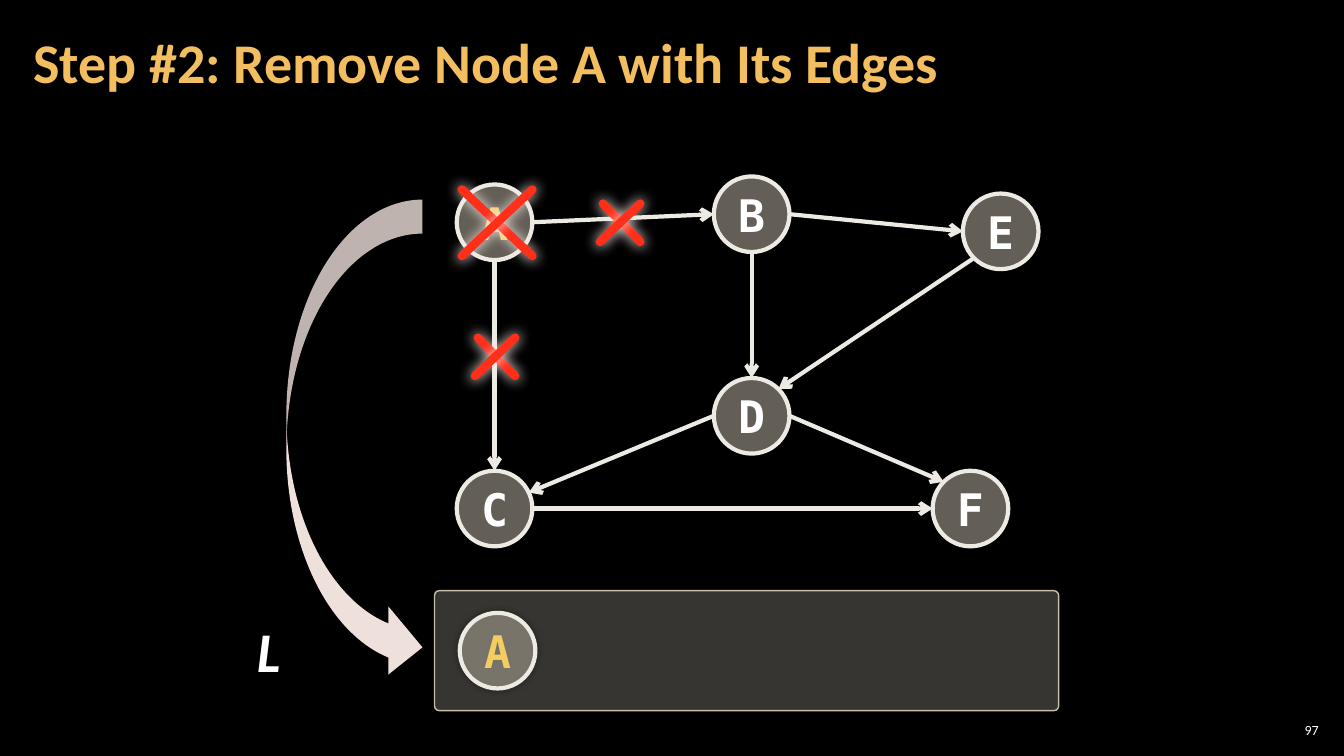
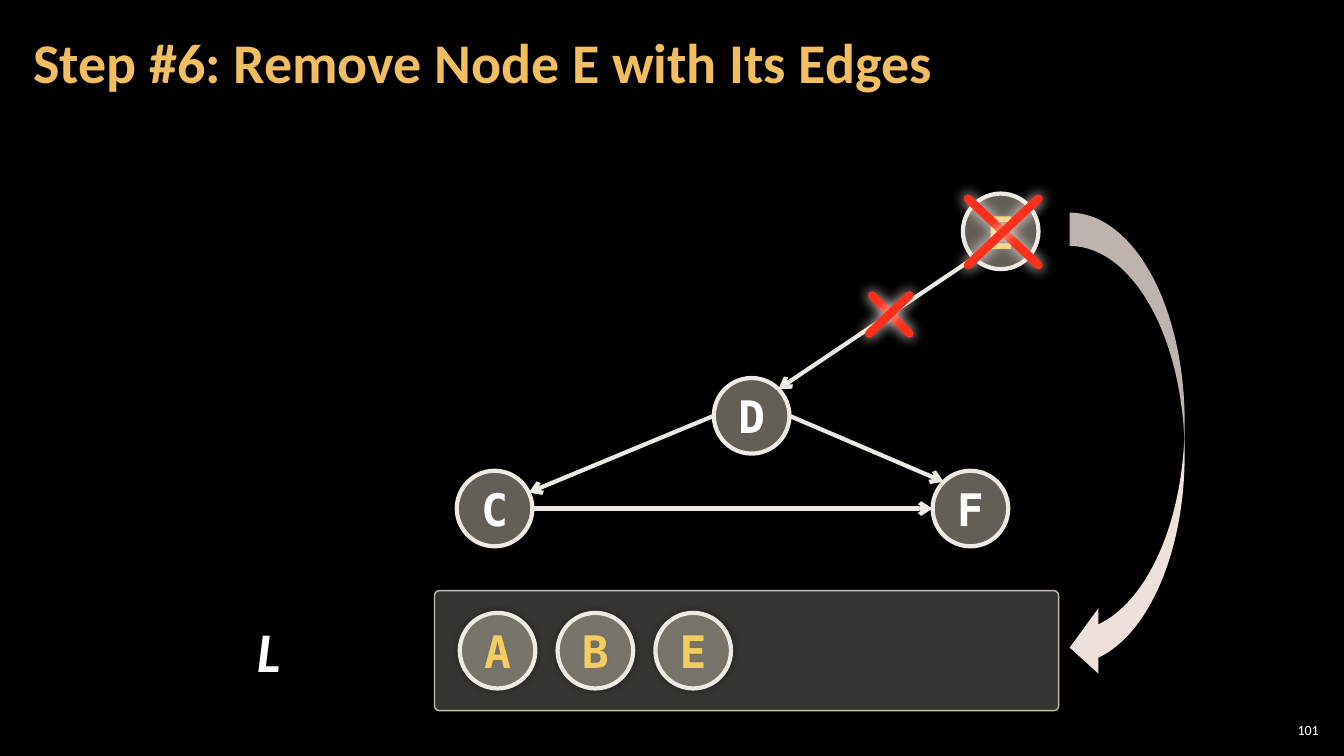
from dataclasses import dataclass
from math import cos, radians, sin

from lxml.etree import SubElement
from pptx import Presentation
from pptx.dml.color import RGBColor
from pptx.enum.shapes import MSO_CONNECTOR, MSO_SHAPE
from pptx.enum.text import MSO_ANCHOR, PP_ALIGN
from pptx.oxml.ns import qn
from pptx.util import Inches, Pt


@dataclass(frozen=True)
class Theme:
    """Colours, fonts and type sizes of the deck."""
    back: str = "000000"
    title: str = "F3BE60"
    text: str = "FFFFFF"
    mark: str = "F3CD60"
    node: str = "C7BFAC"
    edge: str = "ECEAE3"
    tray: str = "D9D5C7"
    cross: str = "FF2F19"
    glow: str = "FFEDEB"
    sweep: str = "EEE0DB"
    sans: str = "Calibri"
    mono: str = "DejaVu Sans Mono"
    head: int = 40
    letter: int = 32
    foot: int = 10


@dataclass(frozen=True)
class Box:
    """A region in inches."""
    left: float
    top: float
    width: float
    height: float

    def inner(self, left, top, width, height):
        """Return a region placed from this one's corner."""
        return Box(self.left + left, self.top + top, width, height)

    def inch(self):
        """Return the four lengths for python-pptx."""
        return [Inches(v) for v in (self.left, self.top, self.width, self.height)]

    def rim(self, angle):
        """Return the point on the inscribed ellipse, clockwise from the right."""
        turn = radians(angle)
        return (self.left + self.width / 2 * (1 + cos(turn)),
                self.top + self.height / 2 * (1 + sin(turn)))


T = Theme()
SIZE = 0.75
NODES = {"A": (0, 0.08), "C": (0, 2.92), "D": (2.55, 2), "B": (2.55, 0),
         "F": (4.72, 2.92), "E": (5.02, 0.17)}
EDGES = [("D", 0, "F", -135), ("A", 0, "B", 180), ("B", 90, "D", -90),
         ("A", 90, "C", -90), ("D", 180, "C", -25), ("C", 0, "F", 180),
         ("B", 0, "E", 180), ("E", 135, "D", -45)]
TITLE = Box(0.21, 0.04, 10.47, 1.21)
NUMBER = Box(12.65, 7.14, 0.47, 0.21)
GRAPH = Box(4.53, 1.75, 5.77, 3.67)
TRAY = Box(4.31, 5.86, 6.19, 1.19)
STEPS = [
    dict(title="Step #2: Remove Node A with Its Edges", number="97",
         live="ACDBFE", gone="A", cuts=[(1.62, 0.46), (0.38, 1.79)], done="A",
         kind=MSO_SHAPE.CURVED_RIGHT_ARROW, bow=Box(2.84, 1.98, 1.35, 4.78),
         bends=(0.25, 0.5, 0.25)),
    dict(title="Step #6: Remove Node E with Its Edges", number="101",
         live="CDFE", gone="E", cuts=[(4.29, 1.37)], done="ABE",
         kind=MSO_SHAPE.CURVED_LEFT_ARROW, bow=Box(10.61, 2.11, 1.14, 4.64),
         bends=(0.29, 0.57, 0.25)),
]


def write(shape, text, size, color, font=T.sans, bold=False,
          align=PP_ALIGN.CENTER, inset=None):
    """Set the text of a shape and return its paragraph."""
    frame = shape.text_frame
    frame.text = text
    frame.vertical_anchor = MSO_ANCHOR.MIDDLE
    if inset:
        frame.margin_left = frame.margin_right = Inches(inset)
        frame.margin_top = frame.margin_bottom = Inches(0.04)
    line = frame.paragraphs[0]
    line.alignment = align
    face = line.runs[0].font
    face.name, face.size, face.bold = font, Pt(size), bold
    face.color.rgb = RGBColor.from_string(color)
    return line


def label(slide, box, *args, **style):
    """Add a wrapped text box and return its paragraph."""
    shape = slide.shapes.add_textbox(*box.inch())
    shape.text_frame.word_wrap = True
    return write(shape, *args, **style)


def paint(slide, kind, box, fill, alpha=100, line=None, width=1):
    """Add a filled preset shape."""
    shape = slide.shapes.add_shape(kind, *box.inch())
    shape.shadow.inherit = False
    shape.fill.solid()
    shape.fill.fore_color.rgb = RGBColor.from_string(fill)
    if alpha < 100:
        color = shape._element.spPr.find(".//" + qn("a:srgbClr"))
        SubElement(color, qn("a:alpha"), val=str(alpha * 1000))
    if line:
        shape.line.color.rgb = RGBColor.from_string(line)
        shape.line.width = Pt(width)
    else:
        shape.line.fill.background()
    return shape


def shade(shape, color, alpha, blur):
    """Add an even shadow all around a shape."""
    effects = shape._element.spPr.find(qn("a:effectLst"))
    cast = SubElement(effects, qn("a:outerShdw"), blurRad=str(Pt(blur)),
                      dist="0", algn="ctr", rotWithShape="0")
    tint = SubElement(cast, qn("a:srgbClr"), val=color)
    SubElement(tint, qn("a:alpha"), val=str(alpha * 1000))


def stroke(slide, start, end, color, width):
    """Add a straight line and return it with its outline element."""
    ends = [Inches(v) for v in (*start, *end)]
    line = slide.shapes.add_connector(MSO_CONNECTOR.STRAIGHT, *ends)
    line.line.color.rgb = RGBColor.from_string(color)
    line.line.width = Pt(width)
    props = line._element.spPr
    SubElement(props, qn("a:effectLst"))
    return line, props.find(qn("a:ln"))


def node(slide, box, name, color):
    """Add a lettered circle."""
    shape = paint(slide, MSO_SHAPE.OVAL, box, T.node, 50, T.edge, 3)
    write(shape, name, T.letter, color, T.mono, True)
    shape.text_frame.word_wrap = False
    return shape


def cross(slide, box, slant=0):
    """Add a glowing red cross."""
    right, base = box.left + box.width, box.top + box.height
    for start, end in (((box.left + slant, box.top), (right, base)),
                       ((right, box.top), (box.left, base))):
        line, outline = stroke(slide, start, end, T.cross, 6)
        outline.set("cap", "rnd")
        shade(line, T.glow, 100, 10)


def graph(slide, box, live, gone, cuts):
    """Draw the live nodes, their edges and the crosses."""
    spots = {n: box.inner(*NODES[n], SIZE, SIZE) for n in live}
    for name, spot in spots.items():
        node(slide, spot, name, T.mark if name == gone else T.text)
    for start, leave, end, reach in EDGES:
        if start in spots and end in spots:
            _, outline = stroke(slide, spots[start].rim(leave),
                                spots[end].rim(reach), T.edge, 3)
            SubElement(outline, qn("a:tailEnd"), type="arrow")
    cross(slide, spots[gone].inner(0.05, 0.05, 0.7, 0.66))
    for x, y in cuts:
        cross(slide, box.inner(x - 0.2, y - 0.19, 0.4, 0.38), 0.03)


def tray(slide, box, done):
    """Draw the list with its label and the removed nodes."""
    shape = paint(slide, MSO_SHAPE.ROUNDED_RECTANGLE, box, T.tray, 25, T.node)
    shape.adjustments[0] = 0.04
    for i, name in enumerate(done):
        spot = box.inner(0.25 + 0.97 * i, 0.22, SIZE, SIZE)
        shade(node(slide, spot, name, T.mark), "000000", 40, 5)
    line = label(slide, box.inner(-2.06, 0.22, 0.83, 0.74), "L", T.head, T.text,
                 bold=True)
    line.runs[0].font.italic = True


def sweep(slide, box, kind, bends):
    """Draw the curved arrow from the graph to the list."""
    shape = paint(slide, kind, box, T.sweep)
    for i, bend in enumerate(bends):
        shape.adjustments[i] = bend


def frame(slide, title, number):
    """Add the title and the slide number."""
    line = label(slide, TITLE, title, T.head, T.title, bold=True,
                 align=PP_ALIGN.LEFT, inset=0.12)
    line.line_spacing = 0.9
    label(slide, NUMBER, number, T.foot, T.text, align=PP_ALIGN.RIGHT, inset=0.04)


def step(deck, title, number, live, gone, cuts, done, kind, bow, bends):
    """Build one slide of the walk through the graph."""
    slide = deck.slides.add_slide(deck.slide_layouts[6])
    frame(slide, title, number)
    tray(slide, TRAY, done)
    graph(slide, GRAPH, live, gone, cuts)
    sweep(slide, bow, kind, bends)


def main():
    """Build and save the deck."""
    deck = Presentation()
    deck.slide_width, deck.slide_height = Inches(13.33), Inches(7.5)
    fill = deck.slide_master.background.fill
    fill.solid()
    fill.fore_color.rgb = RGBColor.from_string(T.back)
    for data in STEPS:
        step(deck, **data)
    deck.save("out.pptx")


if __name__ == "__main__":
    main()
